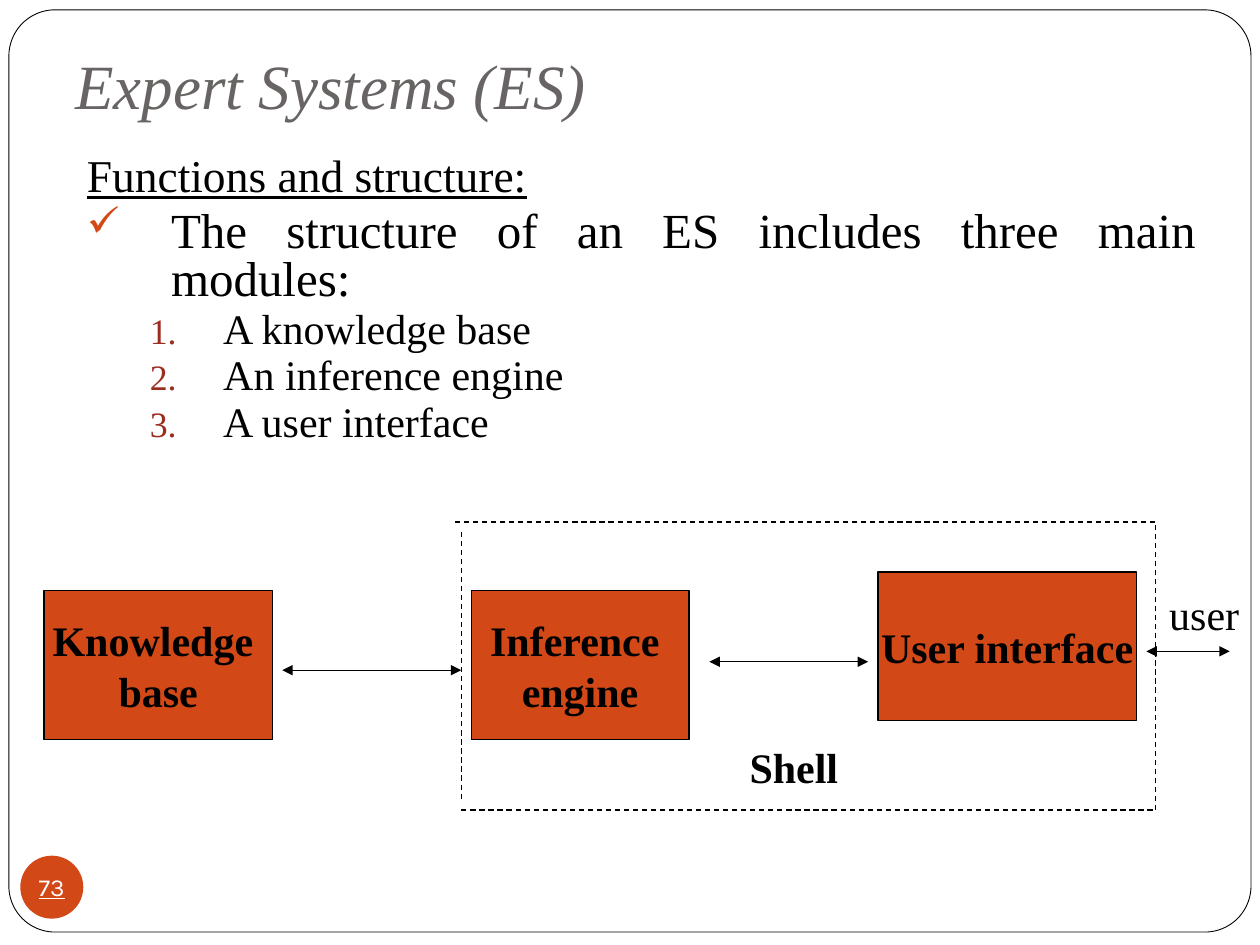
from lxml import etree
from pptx import Presentation
from pptx.dml.color import RGBColor
from pptx.enum.dml import MSO_LINE
from pptx.enum.shapes import MSO_CONNECTOR, MSO_SHAPE
from pptx.enum.text import MSO_ANCHOR, PP_ALIGN
from pptx.oxml.ns import qn
from pptx.util import Cm, Pt

STRAIGHT = MSO_CONNECTOR.STRAIGHT
RECT, OVAL, ROUNDED = MSO_SHAPE.RECTANGLE, MSO_SHAPE.OVAL, MSO_SHAPE.ROUNDED_RECTANGLE
LEFT, CENTER, JUSTIFY = PP_ALIGN.LEFT, PP_ALIGN.CENTER, PP_ALIGN.JUSTIFY
TOP, MIDDLE, BOTTOM = MSO_ANCHOR.TOP, MSO_ANCHOR.MIDDLE, MSO_ANCHOR.BOTTOM
DASH = MSO_LINE.DASH

COLORS = {"ink": "000000", "paper": "FFFFFF", "accent": "D34817",
          "number": "9B2D1F", "title": "696464"}


def rgb(name):
    return RGBColor.from_string(COLORS[name])


class SlideBuilder:
    serif = "Times New Roman"
    label_size = 24
    line_width = 0.75

    def __init__(self, slide):
        self.slide = slide

    def add_text_run(self, paragraph, text, size=label_size, color="ink", face=serif,
                     bold=False, italic=False, underline=False):
        run = paragraph.add_run()
        run.text = text
        font = run.font
        font.name, font.size = face, Pt(size)
        font.bold, font.italic, font.underline = bold, italic, underline
        font.color.rgb = rgb(color)

    def add_lines(self, frame, lines, align=LEFT, **style):
        for index, line in enumerate(lines):
            paragraph = frame.add_paragraph() if index else frame.paragraphs[0]
            paragraph.alignment = align
            self.add_text_run(paragraph, line, **style)

    def shape(self, kind, left, top, width, height, fill, line_width=None):
        shape = self.slide.shapes.add_shape(
            kind, Cm(left), Cm(top), Cm(width), Cm(height))
        shape.shadow.inherit = False
        shape.fill.solid()
        shape.fill.fore_color.rgb = rgb(fill)
        if line_width:
            shape.line.color.rgb = rgb("ink")
            shape.line.width = Pt(line_width)
        else:
            shape.line.fill.background()
        frame = shape.text_frame
        frame.word_wrap = False
        frame.vertical_anchor = MIDDLE
        return shape

    def module(self, left, top, width, lines):
        box = self.shape(RECT, left, top, width, 3, "accent", self.line_width)
        self.add_lines(box.text_frame, lines, CENTER, bold=True)

    def text(self, left, top, width, height, lines=(), wrap=False, anchor=TOP, **style):
        box = self.slide.shapes.add_textbox(Cm(left), Cm(top), Cm(width), Cm(height))
        frame = box.text_frame
        frame.word_wrap = wrap
        frame.vertical_anchor = anchor
        self.add_lines(frame, lines, **style)
        return frame

    def list_item(self, paragraph, text, size, margin, hanging, bullet=None,
                  level=0, before=0, underline=False):
        paragraph.level = level
        paragraph.alignment = JUSTIFY
        paragraph.line_spacing = 0.8
        paragraph.space_before = Pt(before)
        props = paragraph._p.get_or_add_pPr()
        props.set("marL", str(Cm(margin)))
        props.set("indent", str(-Cm(hanging)))
        if bullet:
            color, tag, attributes = bullet
            tint = etree.SubElement(props, qn("a:buClr"))
            etree.SubElement(tint, qn("a:srgbClr"), val=COLORS[color])
            etree.SubElement(props, qn("a:buSzPct"), val="85000")
            etree.SubElement(props, qn(tag), **attributes)
        self.add_text_run(paragraph, text, size, underline=underline)

    def line(self, start, end, dash=None, arrows=False):
        line = self.slide.shapes.add_connector(
            STRAIGHT, *(Cm(value) for value in start + end))
        line.line.color.rgb = rgb("ink")
        line.line.width = Pt(self.line_width)
        if dash:
            line.line.dash_style = dash
        properties = line._element.spPr
        if arrows:
            outline = properties.find(qn("a:ln"))
            for tag in ("a:headEnd", "a:tailEnd"):
                etree.SubElement(outline, qn(tag), type="triangle")
        etree.SubElement(properties, qn("a:effectLst"))


def main():
    deck = Presentation()
    deck.slide_width, deck.slide_height = Cm(25.4), Cm(19.05)
    builder = SlideBuilder(deck.slides.add_slide(deck.slide_layouts[6]))

    # Page frame and slide number
    page_frame = builder.shape(ROUNDED, 0.18, 0.2, 25.04, 18.59, "paper", 0.5)
    page_frame.adjustments[0] = 0.05
    badge = builder.shape(OVAL, 0.41, 17.25, 1.27, 1.27, "accent").text_frame
    badge.margin_left = badge.margin_right = badge.margin_top = badge.margin_bottom = 0
    builder.add_lines(badge, ["73"], CENTER, size=14, color="paper", face="Karla",
                      underline=True)

    # Title
    title = builder.text(1.27, 0.76, 22.86, 1.96, ["Expert Systems (ES)"], wrap=True,
                         anchor=BOTTOM, size=36, color="title", italic=True)
    title.margin_bottom = Cm(0.25)

    # Heading, statement and numbered modules
    body = builder.text(1.5, 3.05, 22.86, 6.07, wrap=True)
    builder.list_item(body.paragraphs[0], "Functions and structure:", 26, 1.7, 1.7,
                      underline=True)
    check = ("accent", "a:buChar", {"char": "✓"})
    builder.list_item(body.add_paragraph(),
                      "The structure of an ES includes three main modules:",
                      28, 1.7, 1.7, check, before=5.8)
    number = ("number", "a:buAutoNum", {"type": "arabicPeriod"})
    for module in ("A knowledge base", "An inference engine", "A user interface"):
        builder.list_item(body.add_paragraph(), module, 24, 2.75, 1.48, number,
                          level=1, before=3.7)

    # Module boxes
    builder.module(0.89, 11.91, 4.6, ["Knowledge ", "base"])
    builder.module(9.5, 11.91, 4.39, ["Inference ", "engine"])
    builder.module(17.7, 11.53, 5.21, ["User interface"])

    # Two-way arrows between the modules and the user
    for left, right, y in ((5.69, 9.3, 13.51), (14.3, 17.5, 13.34), (23.11, 24.79, 13.13)):
        builder.line((left, y), (right, y), arrows=True)
    builder.text(23.32, 11.73, 2.26, 1.27, ["user"])

    # Dashed shell boundary, open at its left corners
    shell_left, shell_top, shell_right, shell_bottom = 9.3, 10.52, 23.29, 16.33
    gap = 0.2
    for start, end in (
        ((shell_left, shell_top + gap), (shell_left, shell_bottom - gap)),
        ((shell_left, shell_bottom), (shell_right, shell_bottom)),
        ((shell_right, shell_bottom), (shell_right, shell_top)),
        ((shell_right, shell_top), (shell_left - gap, shell_top)),
    ):
        builder.line(start, end, dash=DASH)
    builder.text(14.86, 14.83, 2.64, 1.27, ["Shell"], bold=True)

    deck.save("out.pptx")


if __name__ == "__main__":
    main()
